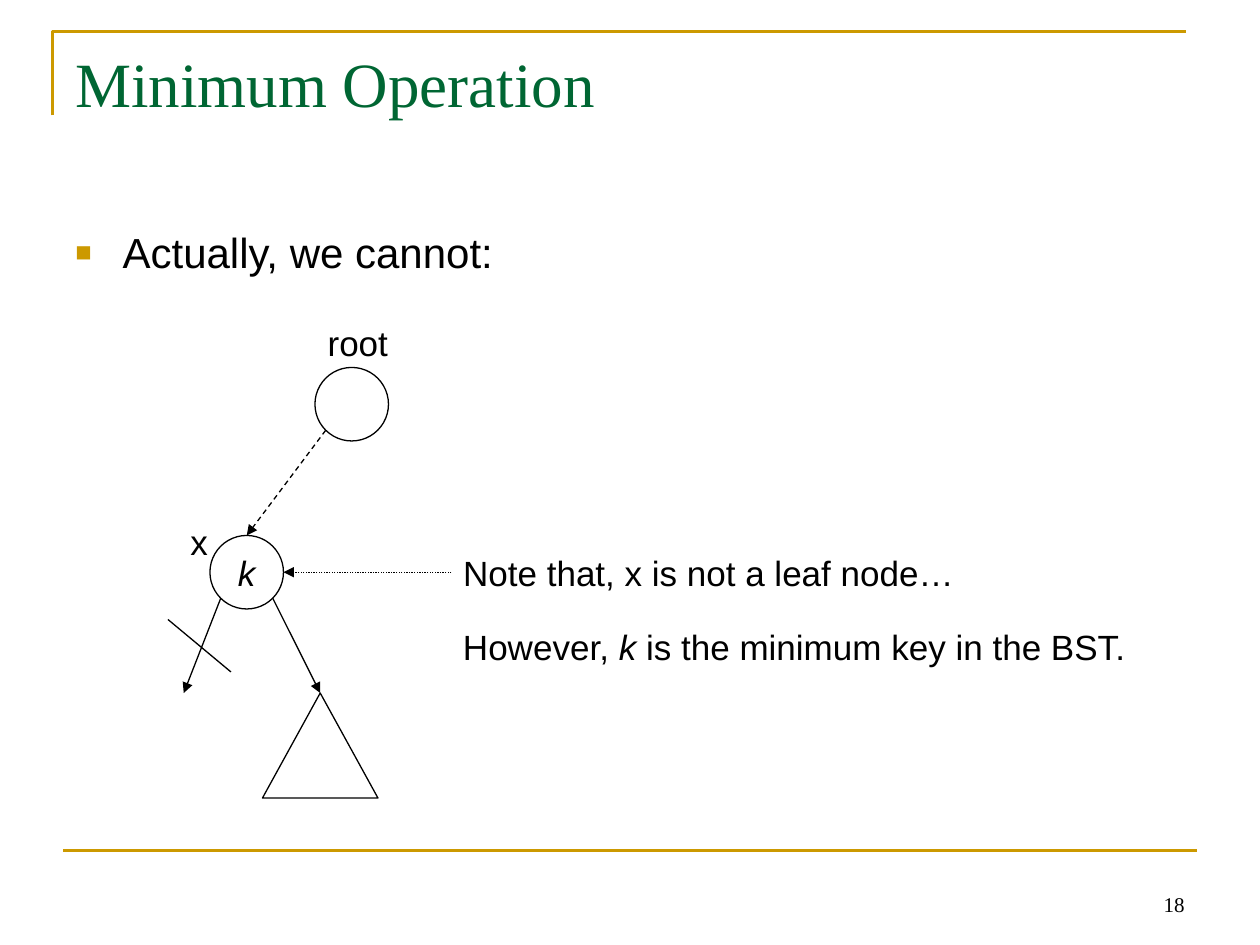
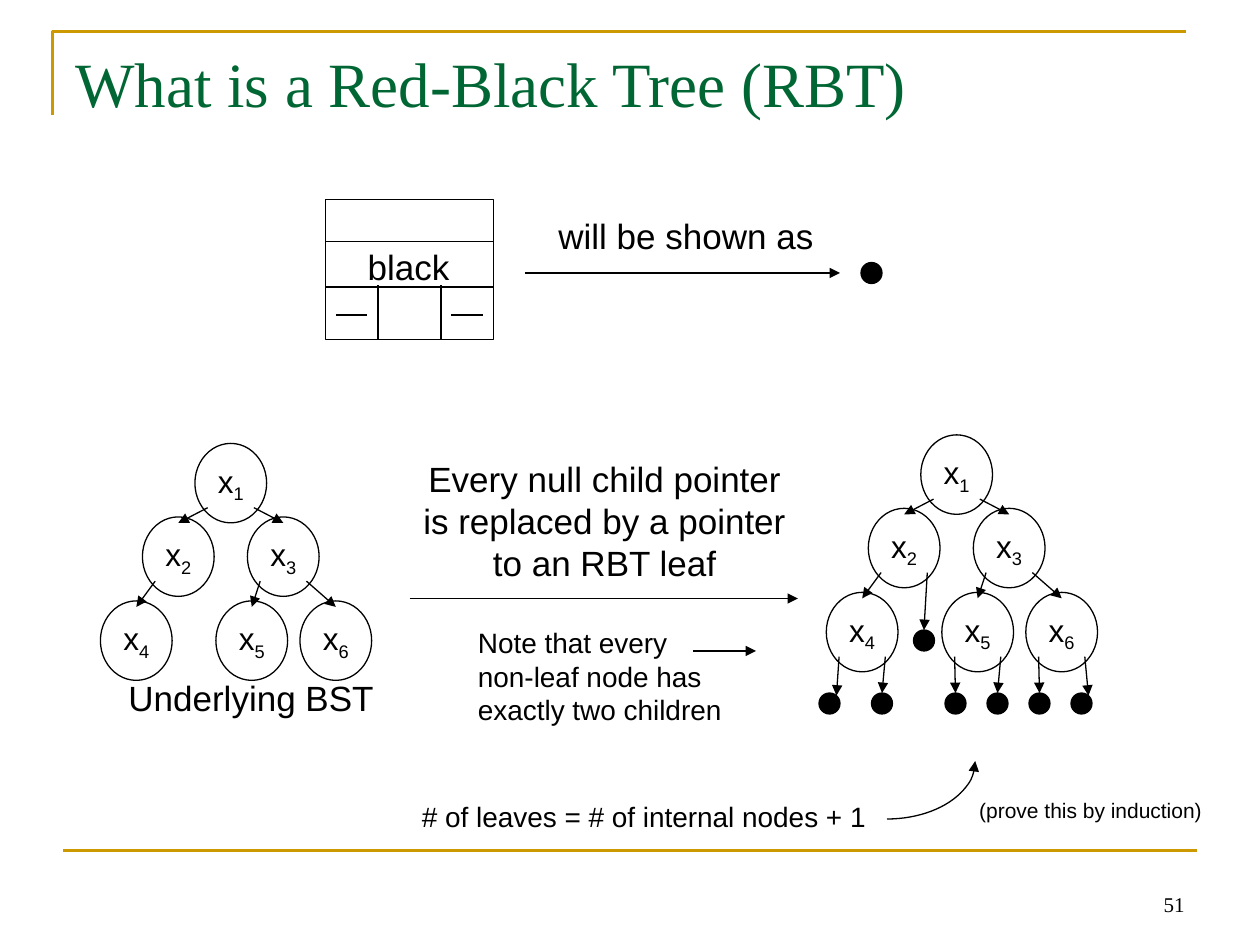
from lxml import etree
from pptx import Presentation
from pptx.dml.color import RGBColor
from pptx.enum.dml import MSO_LINE
from pptx.enum.shapes import MSO_CONNECTOR, MSO_SHAPE
from pptx.enum.text import MSO_ANCHOR, PP_ALIGN
from pptx.oxml.ns import qn
from pptx.util import Pt

GOLD = RGBColor(0xCC, 0x99, 0x00)
GREEN = RGBColor(0x00, 0x66, 0x33)
BLACK = RGBColor(0x00, 0x00, 0x00)
SANS, SERIF = "Arial", "Times New Roman"
LEFT, CENTER, RIGHT = PP_ALIGN.LEFT, PP_ALIGN.CENTER, PP_ALIGN.RIGHT
MIDDLE, BOTTOM = MSO_ANCHOR.MIDDLE, MSO_ANCHOR.BOTTOM
STRAIGHT = MSO_CONNECTOR.STRAIGHT
OVAL, RECTANGLE, ARC = MSO_SHAPE.OVAL, MSO_SHAPE.RECTANGLE, MSO_SHAPE.ARC
TRIANGLE = MSO_SHAPE.ISOSCELES_TRIANGLE
DASH, DOTS = MSO_LINE.DASH, MSO_LINE.ROUND_DOT


def write(frame, text, size, align=LEFT, font=SANS, color=BLACK, wrap=False):
    """Fill a text frame; "_" starts a new run, a line break a new paragraph."""
    frame.word_wrap = wrap
    for index, line in enumerate(text.split("\n")):
        paragraph = frame.paragraphs[0] if index == 0 else frame.add_paragraph()
        paragraph.alignment = align
        for part in line.split("_"):
            run = paragraph.add_run()
            run.text = part
            run.font.size = Pt(size)
            run.font.name = font
            run.font.color.rgb = color
    return frame


def link(slide, x1, y1, x2, y2, arrow=True, dash=None, color=BLACK, weight=0.75):
    connector = slide.shapes.add_connector(STRAIGHT, Pt(x1), Pt(y1), Pt(x2), Pt(y2))
    connector.line.color.rgb = color
    connector.line.width = Pt(weight)
    if dash is not None:
        connector.line.dash_style = dash
    if arrow:
        etree.SubElement(connector.get_or_add_ln(), qn("a:tailEnd"), type="triangle")
    etree.SubElement(connector._element.spPr, qn("a:effectLst"))
    return connector


deck = Presentation()
deck.slide_width, deck.slide_height = Pt(720), Pt(540)
blank = deck.slide_layouts[6]

# Frame, title and number of every slide
for title, number in [("Minimum Operation", "18"), ("What is a Red-Black Tree (RBT)", "51")]:
    slide = deck.slides.add_slide(blank)
    builder = slide.shapes.build_freeform(Pt(30), Pt(66))
    builder.add_line_segments([(Pt(30), Pt(18)), (Pt(678), Pt(18))], close=False)
    corner = builder.convert_to_shape()
    corner.fill.background()
    corner.line.color.rgb = GOLD
    corner.line.width = Pt(1.5)
    corner.shadow.inherit = False
    link(slide, 36, 486, 684, 486, arrow=False, color=GOLD, weight=1.5)
    number_box = slide.shapes.add_textbox(Pt(516), Pt(491.5), Pt(168), Pt(36))
    write(number_box.text_frame, number, 12, RIGHT, SERIF, wrap=True).vertical_anchor = BOTTOM
    title_box = slide.shapes.add_textbox(Pt(36), Pt(21.6), Pt(648), Pt(90))
    write(title_box.text_frame, title, 36, LEFT, SERIF, GREEN, wrap=True)

minimum, red_black = deck.slides
outlines = []  # unfilled shapes with a thin black line
leaves = []  # black dots

# Minimum operation: bullet
claim_box = minimum.shapes.add_textbox(Pt(36), Pt(126), Pt(648), Pt(356))
claim = write(claim_box.text_frame, "Actually, we cannot:", 24, wrap=True).paragraphs[0]
claim_format = claim._p.get_or_add_pPr()
claim_format.set("marL", str(Pt(27)))
claim_format.set("indent", str(-Pt(27)))
bullet_color = etree.SubElement(claim_format, qn("a:buClr"))
etree.SubElement(bullet_color, qn("a:srgbClr"), val=str(GOLD))
etree.SubElement(claim_format, qn("a:buSzPct"), val="65000")
etree.SubElement(claim_format, qn("a:buFont"), typeface=SANS)
etree.SubElement(claim_format, qn("a:buChar"), char="■")

# Minimum operation: tree whose node x has no left child
root = minimum.shapes.add_shape(OVAL, Pt(180), Pt(210), Pt(42), Pt(42))
node_x = minimum.shapes.add_shape(OVAL, Pt(120), Pt(306), Pt(42), Pt(42))
subtree = minimum.shapes.add_shape(TRIANGLE, Pt(150), Pt(396), Pt(66), Pt(60))
outlines += [root, node_x, subtree]
key = write(node_x.text_frame, "k", 20, CENTER)
key.vertical_anchor = MIDDLE
key.paragraphs[0].runs[0].font.italic = True

link(minimum, 186.15, 245.85, 141, 306, dash=DASH)
link(minimum, 258, 327, 162, 327, dash=DOTS)
link(minimum, 126.15, 341.85, 105, 396)
link(minimum, 96, 354, 132, 384, arrow=False)
link(minimum, 155.85, 341.85, 183, 396).end_connect(subtree, 0)

for text, left, top, width, align in [
    ("root", 170, 180, 69, CENTER),
    ("x", 91.5, 294, 44.5, CENTER),
    ("Note that, x is not a leaf node…", 247.5, 311.5, 315, CENTER),
    ("However, _k_ is the minimum key in the BST.", 257.5, 354, 410, LEFT),
]:
    label = minimum.shapes.add_textbox(Pt(left), Pt(top), Pt(width), Pt(31.5))
    for run in write(label.text_frame, text, 20, align, wrap=True).paragraphs[0].runs[1::2]:
        run.font.italic = True

# Red-black tree: record of a leaf and its short form
outlines.append(red_black.shapes.add_shape(RECTANGLE, Pt(186), Pt(114), Pt(96), Pt(80)))
for divider_y in (138, 164):
    link(red_black, 186, divider_y, 282, divider_y, arrow=False)
for divider_x in (216, 252):
    link(red_black, divider_x, 163, divider_x, 194, arrow=False)
for null_x in (192, 258):
    link(red_black, null_x, 180, null_x + 18, 180, arrow=False)
leaves.append(red_black.shapes.add_shape(OVAL, Pt(492), Pt(150), Pt(12), Pt(12)))

link(red_black, 300, 156, 480, 156)
link(red_black, 234, 342, 456, 342)
link(red_black, 396, 372, 432, 372)

for text, left, top, width, height, size, align in [
    ("black", 193, 137, 81, 31.5, 20, CENTER),
    ("will be shown as", 302, 119, 180, 31.5, 20, CENTER),
    ("Every null child pointer\nis replaced by a pointer\nto an RBT leaf",
     224.5, 258, 242, 79, 20, CENTER),
    ("Underlying BST", 56, 383, 175, 31.5, 20, CENTER),
    ("Note that every\nnon-leaf node has\nexactly two children", 266, 354, 170, 65, 16, LEFT),
    ("# of leaves = # of internal nodes + 1", 234, 453.5, 290, 26.5, 16, LEFT),
    ("(prove this by induction)", 552.5, 452, 160, 21.5, 12, LEFT),
]:
    label = red_black.shapes.add_textbox(Pt(left), Pt(top), Pt(width), Pt(height))
    write(label.text_frame, text, size, align, wrap=True)

# Red-black tree: the same six nodes, without and with leaves
NODE_W, NODE_H = 41, 45.4
PORT_X, PORT_Y = 13.2, 14  # where child pointers leave a node, from its centre
node_offsets = {1: (0, 0), 2: (-30, 42), 3: (30, 42), 4: (-54, 90), 5: (12, 90), 6: (60, 90)}
edges = [(1, 2, -1), (1, 3, 1), (2, 4, -1), (3, 5, -1), (3, 6, 1)]  # parent, child, side
RBT_X, RBT_Y = 546.7, 271.2

for root_x, root_y in [(131.9, 276.1), (RBT_X, RBT_Y)]:
    for node, (dx, dy) in node_offsets.items():
        left, top = root_x + dx - NODE_W / 2, root_y + dy - NODE_H / 2
        oval = red_black.shapes.add_shape(OVAL, Pt(left), Pt(top), Pt(NODE_W), Pt(NODE_H))
        frame = write(oval.text_frame, f"x_{node}", 18, CENTER)
        frame.vertical_anchor = MIDDLE
        frame.paragraphs[0].runs[1].font._element.set("baseline", "-25000")
        outlines.append(oval)
    for parent, child, side in edges:
        (parent_dx, parent_dy), (child_dx, child_dy) = node_offsets[parent], node_offsets[child]
        link(red_black, root_x + parent_dx + side * PORT_X, root_y + parent_dy + PORT_Y,
             root_x + child_dx, root_y + child_dy - NODE_H / 2 + 3.4)

# parent, side, leaf centre, leaf top, arrow tip from the leaf's top
for parent, side, leaf_x, leaf_y, tip_dx, tip_dy in [
    (2, 1, 528, 360, 0, 0),
    (4, -1, 474, 396, 4, 1.5),
    (4, 1, 504, 396, 0, 0),
    (5, -1, 546, 396, 0, 0),
    (5, 1, 570, 396, 0, 0),
    (6, -1, 594, 396, 0, 0),
    (6, 1, 618, 396, 4, 1.5),
]:
    leaves.append(red_black.shapes.add_shape(OVAL, Pt(leaf_x - 6), Pt(leaf_y), Pt(12), Pt(12)))
    dx, dy = node_offsets[parent]
    link(red_black, RBT_X + dx + side * PORT_X, RBT_Y + dy + PORT_Y,
         leaf_x + tip_dx, leaf_y + tip_dy)

# Lower right quarter of an ellipse, from the leaf count up to the tree
proof_arrow = red_black.shapes.add_shape(ARC, Pt(456.5), Pt(401.8), Pt(100.8), Pt(66.2))
proof_arrow.adjustments[0] = 0
proof_arrow.adjustments[1] = 54  # 90 degrees
outlines.append(proof_arrow)

for shape in outlines + leaves:
    shape.fill.background()
    shape.line.color.rgb = BLACK
    shape.line.width = Pt(0.75)
    shape.shadow.inherit = False
for leaf in leaves:
    leaf.fill.solid()
    leaf.fill.fore_color.rgb = BLACK
etree.SubElement(proof_arrow.get_or_add_ln(), qn("a:headEnd"), type="triangle")

deck.save("out.pptx")
